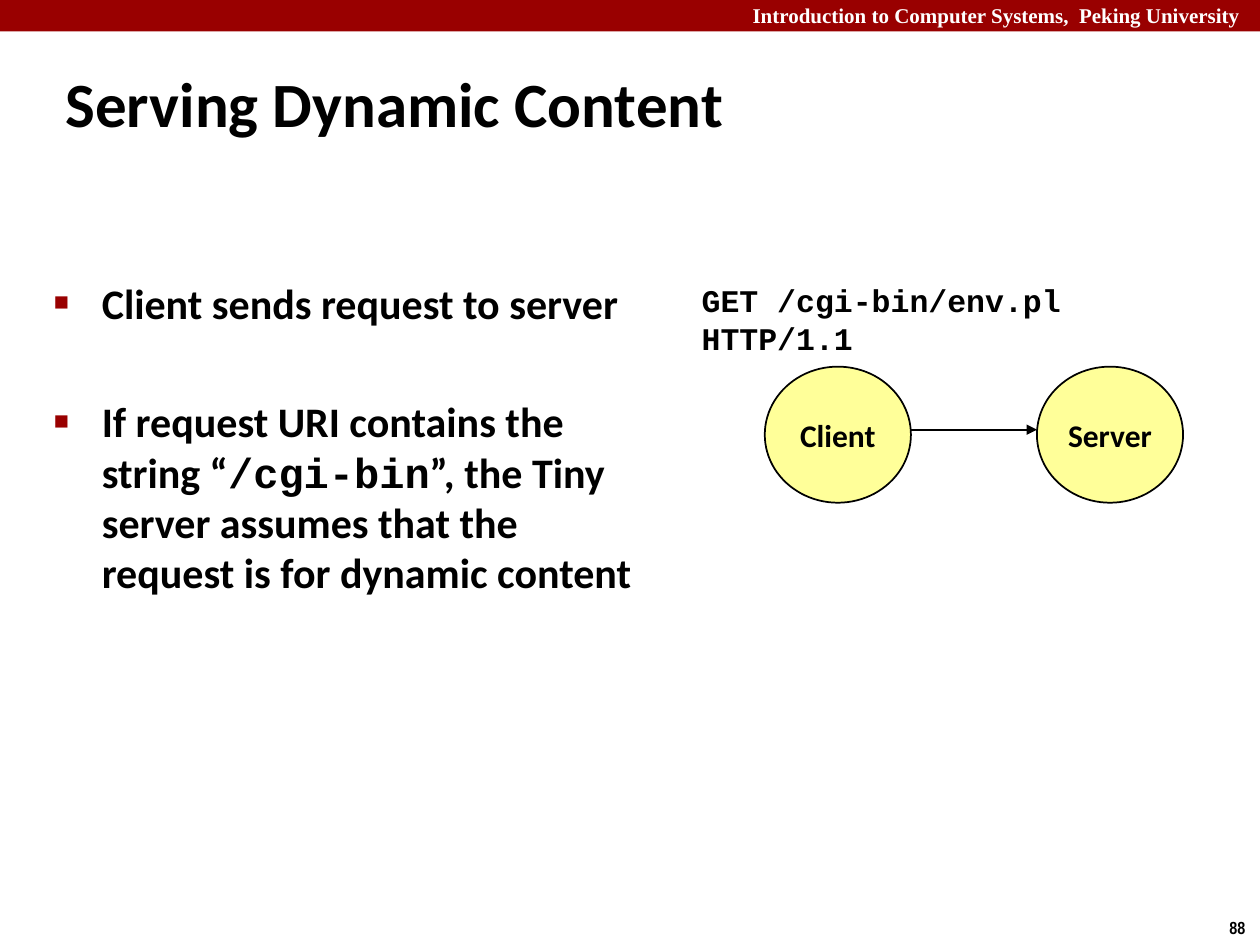
from lxml.etree import SubElement
from pptx import Presentation
from pptx.dml.color import RGBColor
from pptx.enum.shapes import MSO_CONNECTOR as Connector, MSO_SHAPE as Shape
from pptx.enum.text import MSO_ANCHOR as Anchor, PP_ALIGN as Align
from pptx.oxml.ns import qn
from pptx.util import Inches, Pt

COLORS = {"red": "990000", "yellow": "FFFF99", "black": "000000", "white": "FFFFFF"}
WIDTH, HEIGHT = 10, 7.5
TITLE_ONLY = 5


class SlideBuilder:
    body_font = "Calibri"
    code_font = "Courier New"

    def __init__(self, presentation):
        presentation.slide_width = Inches(WIDTH)
        presentation.slide_height = Inches(HEIGHT)
        self.slide = presentation.slides.add_slide(presentation.slide_layouts[TITLE_ONLY])
        self.shapes = self.slide.shapes

    def color(self, name):
        return RGBColor.from_string(COLORS[name])

    def style(self, run, size, font=body_font, color="black"):
        run.font.size = Pt(size)
        run.font.name = font
        run.font.bold = True
        run.font.color.rgb = self.color(color)

    def fill_text(self, frame, text, size, font=body_font, color="black",
                  align=Align.LEFT, anchor=Anchor.TOP, wrap=True):
        frame.text = text
        frame.word_wrap = wrap
        frame.vertical_anchor = anchor
        paragraph = frame.paragraphs[0]
        paragraph.alignment = align
        self.style(paragraph.runs[0], size, font, color)

    def title(self, text, box):
        title = self.shapes.title
        title.left, title.top, title.width, title.height = map(Inches, box)
        self.fill_text(title.text_frame, text, 36)

    def text(self, text, box, size, **options):
        shape = self.shapes.add_textbox(*map(Inches, box))
        self.fill_text(shape.text_frame, text, size, **options)

    def shape(self, preset, box, fill, line=None):
        shape = self.shapes.add_shape(preset, *map(Inches, box))
        shape.shadow.inherit = False
        shape.fill.solid()
        shape.fill.fore_color.rgb = self.color(fill)
        if line:
            shape.line.color.rgb = self.color(line)
            shape.line.width = Pt(1)
        else:
            shape.line.fill.background()
        return shape

    def node(self, label, box):
        shape = self.shape(Shape.OVAL, box, "yellow", "black")
        self.fill_text(shape.text_frame, label, 18, align=Align.CENTER,
                       anchor=Anchor.MIDDLE, wrap=False)

    def arrow(self, start, end, level):
        points = map(Inches, (start, level, end, level))
        connector = self.shapes.add_connector(Connector.STRAIGHT, *points)
        connector.line.color.rgb = self.color("black")
        connector.line.width = Pt(1)
        properties = connector._element.spPr
        SubElement(properties.find(qn("a:ln")), qn("a:tailEnd"), type="triangle")
        SubElement(properties, qn("a:effectLst"))

    def bullet(self, paragraph):
        properties = paragraph._p.get_or_add_pPr()
        properties.set("marL", str(Inches(0.38)))
        properties.set("indent", str(-Inches(0.38)))
        bullet_color = SubElement(properties, qn("a:buClr"))
        SubElement(bullet_color, qn("a:srgbClr"), val=COLORS["red"])
        SubElement(properties, qn("a:buSzPct"), val="60000")
        SubElement(properties, qn("a:buFont"), typeface="Arial")
        SubElement(properties, qn("a:buChar"), char="■")

    def bullets(self, items, box, gap):
        frame = self.shapes.add_textbox(*map(Inches, box)).text_frame
        frame.word_wrap = True
        for index, parts in enumerate(items):
            paragraph = frame.add_paragraph() if index else frame.paragraphs[0]
            self.bullet(paragraph)
            if index:
                paragraph.space_before = Pt(gap)
            for text, font in parts:
                run = paragraph.add_run()
                run.text = text
                self.style(run, 24, font)


def main():
    presentation = Presentation()
    builder = SlideBuilder(presentation)
    body, code = builder.body_font, builder.code_font

    builder.shape(Shape.RECTANGLE, (0, 0, WIDTH, 0.25), "red")
    builder.text("Introduction to Computer Systems,  Peking University",
                 (4.75, -0.03, 5.19, 0.3), 12, font="Times New Roman",
                 color="white", align=Align.RIGHT)
    builder.text("88", (9.66, 7.23, 0.34, 0.27), 10, font="Arial Narrow", wrap=False)
    builder.title("Serving Dynamic Content", (0.42, 0.46, 6.67, 0.63))

    builder.bullets([
        [("Client sends request to server", body)],
        [("If request URI contains the string “", body),
         ("/cgi-bin", code),
         ("”, the Tiny server assumes that the request is for dynamic content", body)],
    ], (0.33, 2.15, 4.84, 4.87), gap=39)

    node_left, node_top, node_width, node_height, node_step = 6.07, 2.91, 1.16, 1.08, 2.16
    for column, label in enumerate(("Client", "Server")):
        left = node_left + column * node_step
        builder.node(label, (left, node_top, node_width, node_height))
    builder.arrow(node_left + node_width, node_left + node_step, 3.41)
    builder.text("GET /cgi-bin/env.pl HTTP/1.1", (5.47, 2.33, 4.38, 0.4), 18,
                 font=code, anchor=Anchor.MIDDLE)

    presentation.save("out.pptx")


if __name__ == "__main__":
    main()
